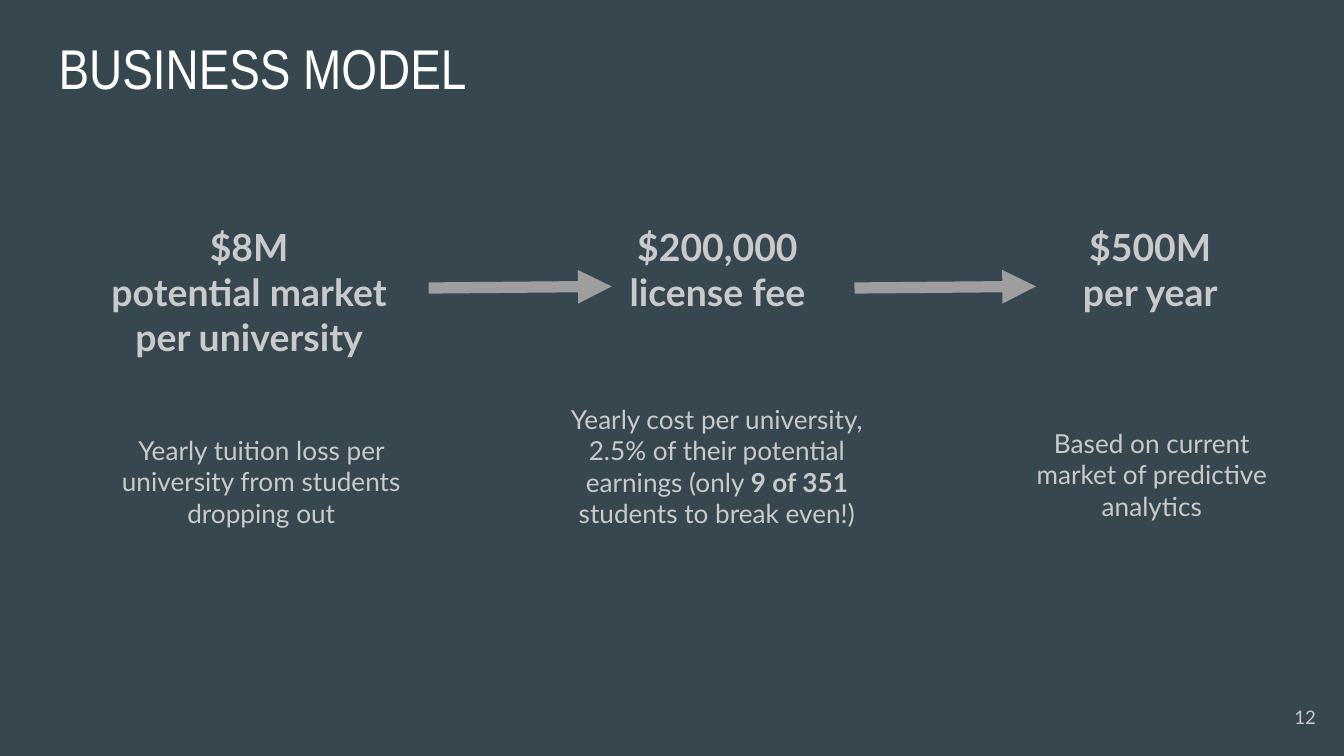
"""Builds the business model slide: three figures joined by arrows."""
from lxml.etree import SubElement
from pptx import Presentation
from pptx.dml.color import RGBColor
from pptx.enum.shapes import MSO_CONNECTOR as Connector
from pptx.enum.text import MSO_ANCHOR as Anchor, MSO_AUTO_SIZE as AutoSize, PP_ALIGN as Align
from pptx.oxml.ns import qn
from pptx.util import Cm, Pt

COLOURS = {"background": "37474F", "title": "FFFFFF", "body": "CACACA", "arrow": "9E9E9E"}
INSET = Cm(0.25)
FRAME = {
    "word_wrap": True,
    "auto_size": AutoSize.NONE,
    "margin_left": INSET,
    "margin_right": INSET,
    "margin_top": INSET,
    "margin_bottom": INSET,
}
TITLE = {"name": "Arial Narrow", "size": Pt(30)}
NUMBER = {"name": "Lato", "size": Pt(10)}
CAPTION = {"name": "Lato", "size": Pt(14)}
FIGURE = {"name": "Lato", "size": Pt(20), "bold": True}

FIGURE_TOP = 3.99
FIGURES = [
    (1.32, 6.78, 3.07, [["$8M"], ["potential market per university"]]),
    (10.97, 5.18, 2.24, [["$200,000 license fee"]]),
    (19.58, 4.32, 2.24, [["$500M"], ["per year"]]),
]
CAPTIONS = [
    ((1.78, 7.95, 6.32, 2.31),
     ["Yearly tuition loss per university from students dropping out"]),
    ((10.39, 7.37, 6.32, 2.9),
     ["Yearly cost per university, 2.5% of their potential earnings (only ",
      "9 of 351", " students to break even!)"]),
    ((19.18, 7.82, 5.18, 2.31),
     ["Based on current market of predictive analytics"]),
]
ARROW_SPANS = [(8.1, 11.56), (16.15, 19.58)]
ARROW_START_Y, ARROW_END_Y = 5.44, 5.41


def colour(key):
    """Return the named colour."""
    return RGBColor.from_string(COLOURS[key])


def apply(target, values):
    """Set each named value on the target."""
    for name, value in values.items():
        setattr(target, name, value)


def add_text(slide, place, lines, style, align=Align.CENTER, ink="body", anchor=Anchor.TOP):
    """Add a text box; every second run of a line is bold."""
    frame = slide.shapes.add_textbox(*map(Cm, place)).text_frame
    apply(frame, FRAME | {"vertical_anchor": anchor})
    for index, runs in enumerate(lines):
        line = frame.add_paragraph() if index else frame.paragraphs[0]
        line.alignment = align
        for position, words in enumerate(runs):
            run = line.add_run()
            run.text = words
            apply(run.font, style)
            run.font.color.rgb = colour(ink)
            if position % 2:
                run.font.bold = True


def add_arrow(slide, start_x, end_x):
    """Add a thick arrow between two figures."""
    ends = map(Cm, (start_x, ARROW_START_Y, end_x, ARROW_END_Y))
    arrow = slide.shapes.add_connector(Connector.STRAIGHT, *ends)
    arrow.line.width = Pt(6)
    arrow.line.color.rgb = colour("arrow")
    SubElement(arrow.line._get_or_add_ln(), qn("a:tailEnd"), type="triangle")
    SubElement(arrow._element.spPr, qn("a:effectLst"))


def main():
    """Build and save the slide."""
    deck = Presentation()
    deck.slide_width, deck.slide_height = Cm(25.4), Cm(14.28)
    slide = deck.slides.add_slide(deck.slide_layouts[6])
    slide.background.fill.solid()
    slide.background.fill.fore_color.rgb = colour("background")

    add_text(slide, (0.86, 0.38, 23.67, 2.44), [["BUSINESS MODEL"]], TITLE, Align.LEFT, "title")
    add_text(slide, (23.6, 13, 1.52, 1.09), [["12"]], NUMBER, Align.RIGHT, anchor=Anchor.MIDDLE)
    for place, runs in CAPTIONS:
        add_text(slide, place, [runs], CAPTION)
    for span in ARROW_SPANS:
        add_arrow(slide, *span)
    for left, width, height, lines in FIGURES:
        add_text(slide, (left, FIGURE_TOP, width, height), lines, FIGURE)
    deck.save("out.pptx")


if __name__ == "__main__":
    main()
